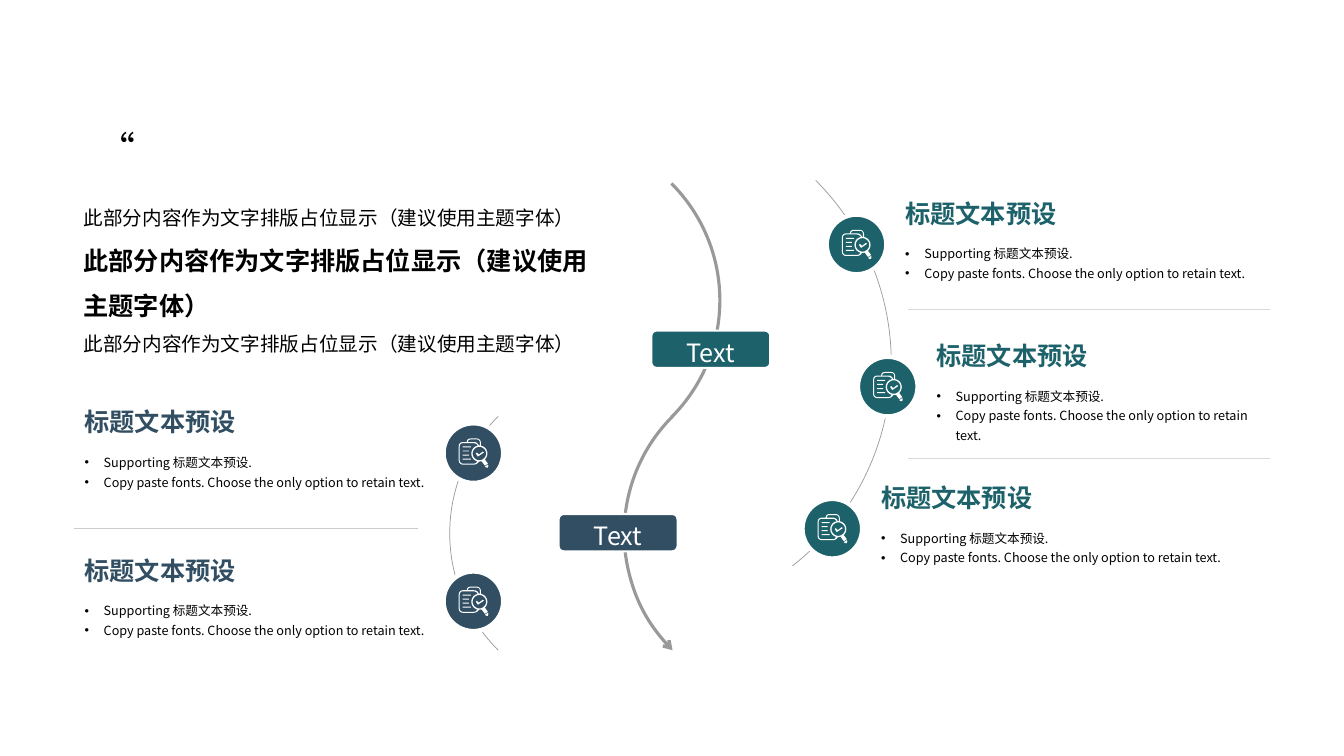
import math
from lxml import etree
from pptx import Presentation
from pptx.dml.color import RGBColor
from pptx.enum.shapes import MSO_CONNECTOR, MSO_SHAPE
from pptx.enum.text import MSO_ANCHOR, PP_ALIGN
from pptx.oxml.ns import qn
from pptx.util import Inches, Pt

ARC, ROUND, OVAL = MSO_SHAPE.ARC, MSO_SHAPE.ROUNDED_RECTANGLE, MSO_SHAPE.OVAL
STRAIGHT = MSO_CONNECTOR.STRAIGHT
MIDDLE, CENTER = MSO_ANCHOR.MIDDLE, PP_ALIGN.CENTER
FONT = "Noto Sans CJK SC"
TEAL, NAVY, WHITE, BLACK, GRAY = "1D626A", "324E63", "FFFFFF", "000000", "999999"
PLACEHOLDER = "此部分内容作为文字排版占位显示（建议使用主题字体）"
POINTS = ["Supporting 标题文本预设.",
          "Copy paste fonts. Choose the only option to retain text."]


def paint(s, fill, line, width=0):
    s.shadow.inherit = False
    for part, color in ((s.fill, fill), (s.line.fill, line)):
        if color:
            part.solid()
            part.fore_color.rgb = RGBColor.from_string(color)
        else:
            part.background()
    if line:
        s.line.width = Pt(width)


def add_run(p, text, size, color, bold=False):
    r = p.add_run()
    r.text = text
    r.font.size = Pt(size)
    r.font.bold = bold
    r.font.name = FONT
    r.font.color.rgb = RGBColor.from_string(color)
    etree.SubElement(r.font._element, qn("a:ea")).set("typeface", FONT)


prs = Presentation()
prs.slide_width, prs.slide_height = Inches(13.33), Inches(7.5)
shapes = prs.slides.add_slide(prs.slide_layouts[6]).shapes

for x, y, size, angle, width, end, arrow in [
        (3.86, 1.34, 3.28, 45, 2.25, 0, False),
        (6.19, 3.65, 3.28, 225, 2.25, 0, True),
        (3.72, 1.04, 5.12, 45, 0.5, 4.138, False),
        (4.46, 3.65, 3.28, 225, 0.5, 0, False)]:
    s = shapes.add_shape(ARC, Inches(x), Inches(y), Inches(size), Inches(size))
    s.rotation = angle
    s.adjustments[0], s.adjustments[1] = 162, end
    paint(s, None, GRAY, width)
    if arrow:
        etree.SubElement(s.line._get_or_add_ln(), qn("a:headEnd")).set("type", "arrow")

for x, y, color in [(6.46, 3.28, TEAL), (5.54, 5.1, NAVY)]:
    s = shapes.add_shape(ROUND, Inches(x), Inches(y), Inches(1.18), Inches(0.37))
    s.adjustments[0] = 0.137
    paint(s, color, WHITE, 1.5)
    tf = s.text_frame
    tf.word_wrap = False
    tf.vertical_anchor = MIDDLE
    p = tf.paragraphs[0]
    p.alignment = CENTER
    p.line_spacing = 1.2
    add_run(p, "Text", 18, WHITE)

for x1, x2, y, color, width in [(0.73, 4.15, 5.24, "CCCCCC", 0.5),
                                (9.01, 12.6, 3.07, "D9D9D9", 0.25),
                                (9.01, 12.6, 4.55, "D9D9D9", 0.25)]:
    s = shapes.add_connector(STRAIGHT, Inches(x1), Inches(y), Inches(x2), Inches(y))
    s.line.color.rgb = RGBColor.from_string(color)
    s.line.width = Pt(width)
    etree.SubElement(s._element.spPr, qn("a:effectLst"))

tf = shapes.add_textbox(Inches(0.88), Inches(1.24), Inches(0.59), Inches(0.48)).text_frame
tf.word_wrap = True
tf.vertical_anchor = MIDDLE
add_run(tf.paragraphs[0], "“", 26.4, BLACK)

tf = shapes.add_textbox(Inches(0.73), Inches(1.88), Inches(5.32), Inches(1.69)).text_frame
tf.word_wrap = True
for i, size in enumerate([14, 18, 14]):
    p = tf.add_paragraph() if i else tf.paragraphs[0]
    p.line_spacing = 1.5
    add_run(p, PLACEHOLDER, size, BLACK, size == 18)

# Icon contours use hundredths of an inch: pairs are corners, sixes are Bézier curves.
clipboard = [(18, 23), (19, 23, 19, 23, 20, 23), (19, 25, 17, 26, 15, 26), (4, 26),
             (2, 26, 0, 24, 0, 22), (0, 8), (0, 5, 2, 3.6, 4, 3.6), (8, 3.6),
             (8, 1, 10, 0, 12, 0), (18, 0), (20, 0, 22, 2, 22, 4), (22, 7), (21, 7),
             (21, 4), (21, 2, 20, 1, 18, 1), (12, 1), (10, 1, 9, 2, 9, 3.6), (15, 3.6),
             (18, 3.6, 19, 5, 20, 7), (19, 7), (18, 6, 17, 4.7, 15, 4.7), (4, 4.7),
             (2, 4.7, 1, 6, 1, 8), (1, 22), (1, 23, 2, 25, 4, 25), (15, 25),
             (17, 25, 18, 24, 18, 23)]
handle = [(26, 21), (23, 23), (26, 27), (29, 25)]
tip = [(29, 26), (26, 28), (27, 29, 28, 29, 29, 29), (29, 28, 30, 27, 29, 26)]
check = [(20, 16), (18, 14), (17, 15), (19, 18), (25, 14), (24, 13)]
rows = [[(4, y), (x, y), (x, y + 1), (4, y + 1)]
        for x, y in [(12, 8), (10, 12), (10, 16), (12, 20)]]
lens = [[(20.5 + radius * math.cos(math.radians(a)), 15 + radius * math.sin(math.radians(a)))
         for a in range(0, 360, 15)] for radius in (8, 6.7)]
icon = []
for contour in [clipboard, handle, tip, check] + rows + lens:
    outline = []
    for seg in contour:
        if len(seg) == 2:
            outline.append(seg)
            continue
        start, c1, c2, stop = outline[-1], seg[:2], seg[2:4], seg[4:]
        for t in (0.25, 0.5, 0.75, 1):
            u = 1 - t
            outline.append(tuple(u**3 * a + 3 * u * u * t * b + 3 * u * t * t * c + t**3 * d
                                 for a, b, c, d in zip(start, c1, c2, stop)))
    icon.append([(x * 10, y * 10) for x, y in outline])

right = [(x, 1.88 + 1.41 * i, 12.6 - x, x - 0.68, TEAL)
         for i, x in enumerate([8.88, 9.19, 8.64])]
left = [(0.74, y, 3.72, 4.4, NAVY) for y in (3.95, 5.42)]
for x, y, width, badge_x, color in right + left:
    tf = shapes.add_textbox(Inches(x), Inches(y + 0.47), Inches(width), Inches(0.62)).text_frame
    tf.word_wrap = True
    for i, text in enumerate(POINTS):
        p = tf.add_paragraph() if i else tf.paragraphs[0]
        p.line_spacing = 1.3
        pPr = p._p.get_or_add_pPr()
        pPr.set("marL", str(Inches(0.19)))
        pPr.set("indent", str(-Inches(0.19)))
        etree.SubElement(pPr, qn("a:buFont")).set("typeface", "Arial")
        etree.SubElement(pPr, qn("a:buChar")).set("char", "•")
        add_run(p, text, 9, BLACK)

    tf = shapes.add_textbox(Inches(x), Inches(y), Inches(width), Inches(0.47)).text_frame
    tf.word_wrap = False
    tf.vertical_anchor = MIDDLE
    add_run(tf.paragraphs[0], "标题文本预设", 18, color, True)

    badge_y = y + 0.25
    s = shapes.add_shape(OVAL, Inches(badge_x), Inches(badge_y), Inches(0.59), Inches(0.59))
    paint(s, color, WHITE, 3)

    pen = shapes.build_freeform(*icon[0][0], scale=Inches(0.001))
    pen.add_line_segments(icon[0][1:])
    for outline in icon[1:]:
        pen.move_to(*outline[0])
        pen.add_line_segments(outline[1:])
    s = pen.convert_to_shape(Inches(badge_x + 0.15), Inches(badge_y + 0.15))
    paint(s, WHITE, None)

prs.save("out.pptx")
